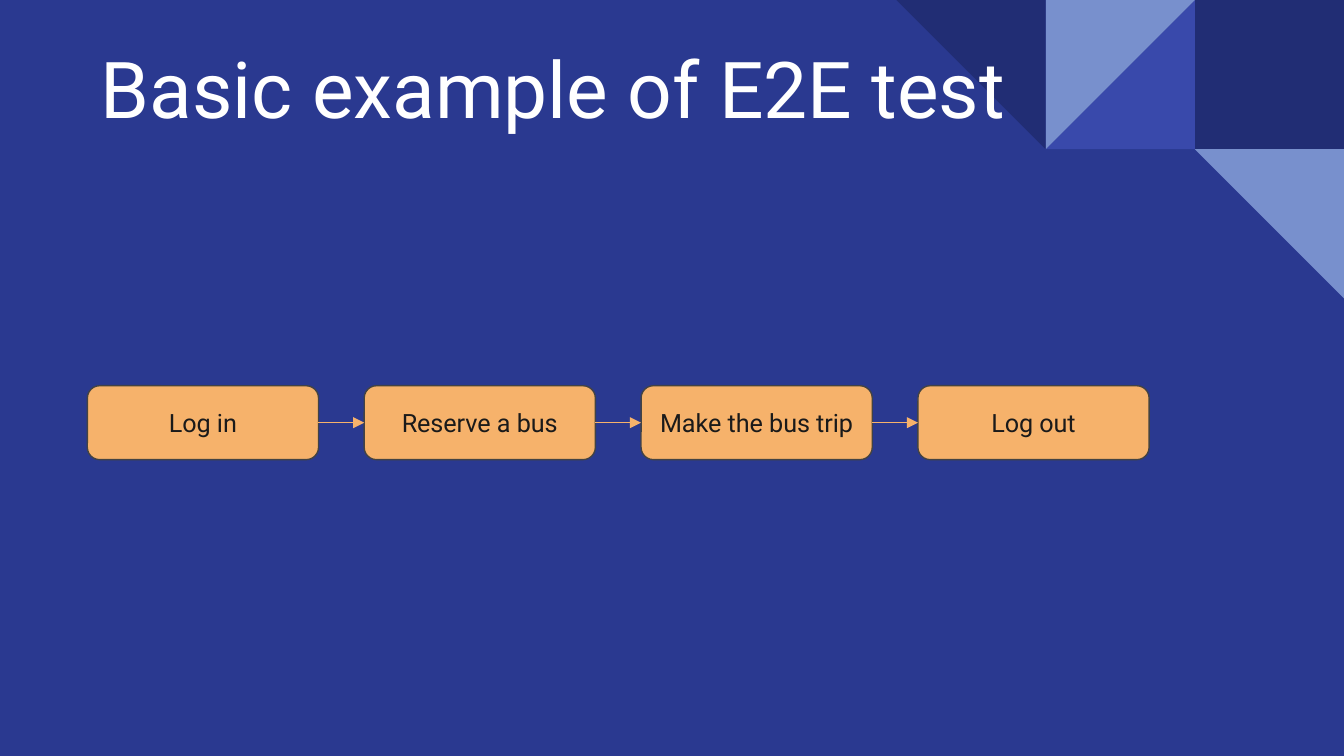
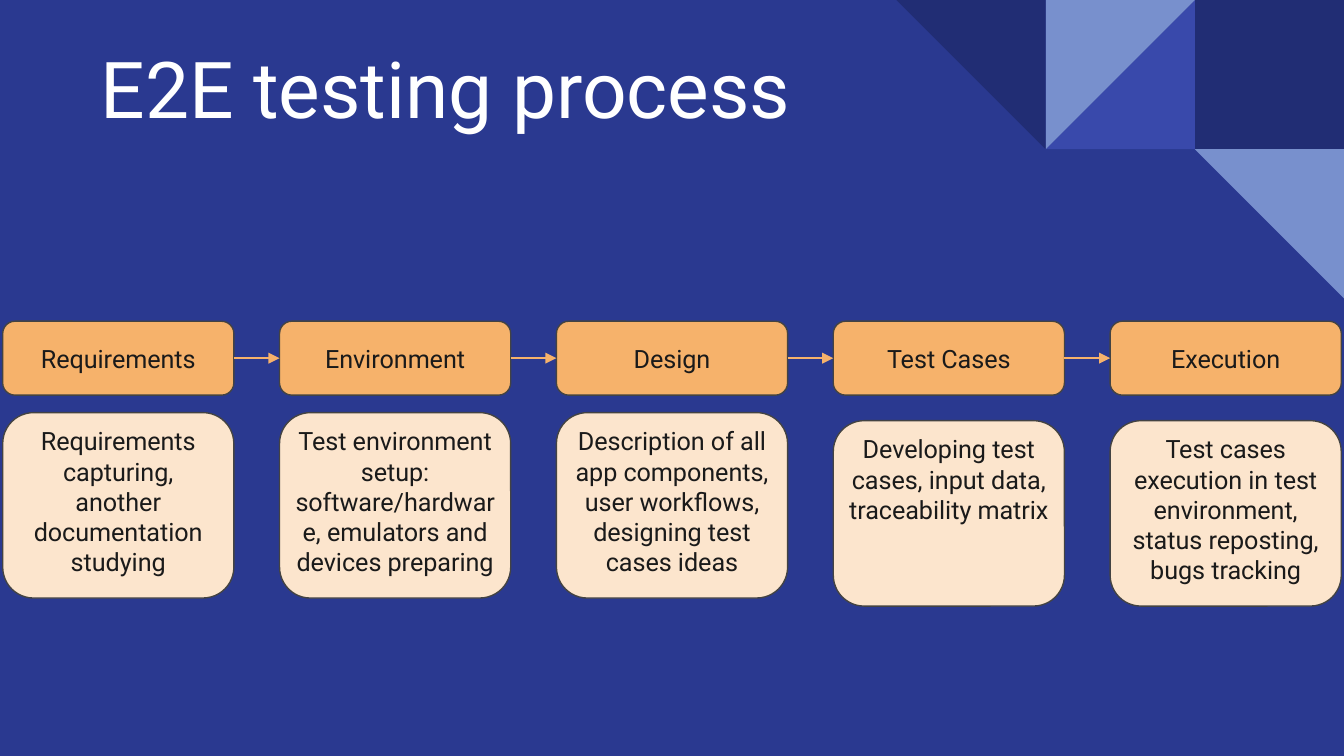
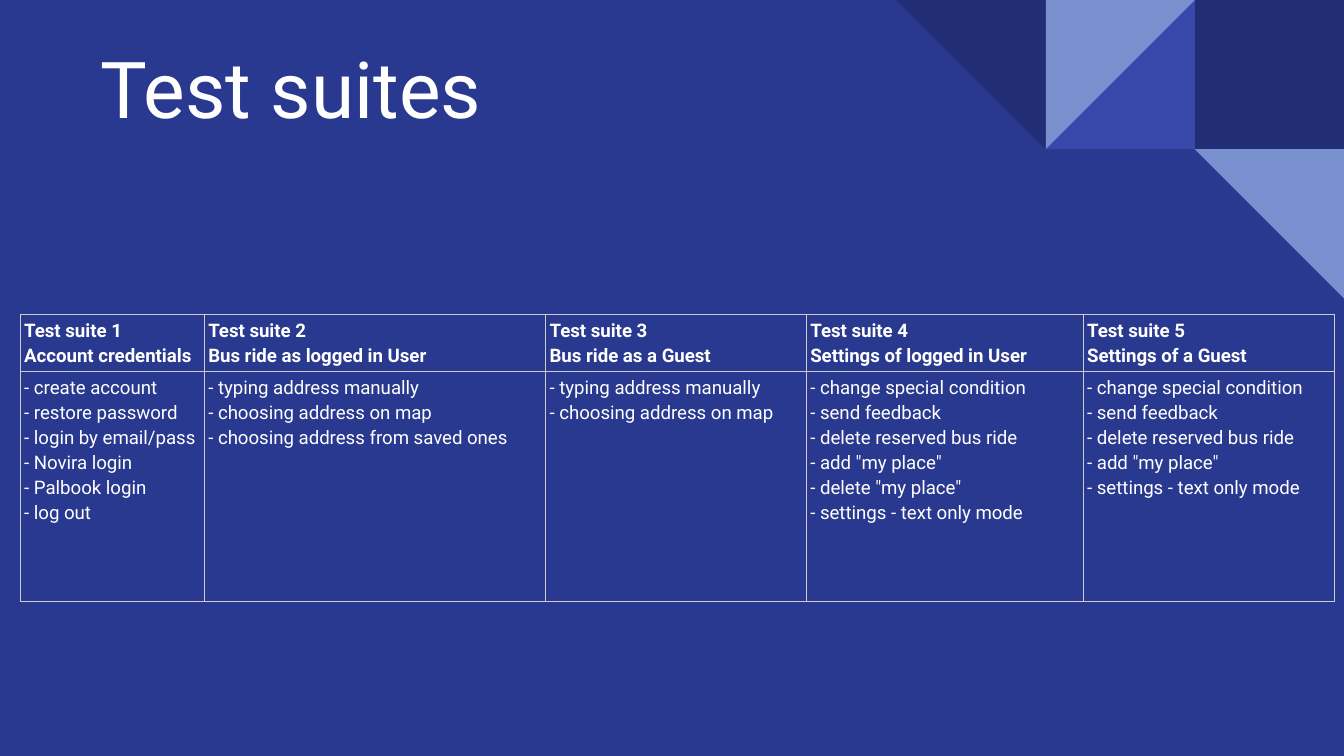
"""Build three slides on end-to-end testing: an example, the process and the suites."""
from dataclasses import dataclass

from lxml.etree import SubElement as Sub
from pptx import Presentation
from pptx.dml.color import RGBColor as RGB
from pptx.enum.shapes import MSO_CONNECTOR as Line, MSO_SHAPE as Shape
from pptx.enum.text import MSO_ANCHOR as Anchor, PP_ALIGN as Align
from pptx.oxml.ns import qn
from pptx.util import Inches, Pt


@dataclass(frozen=True)
class Theme:
    back: str = "2A3990"
    navy: str = "212D74"
    royal: str = "3949AB"
    sky: str = "7890CD"
    amber: str = "F6B26B"
    cream: str = "FCE5CD"
    edge: str = "434343"
    grid: str = "CCCCCC"
    ink: str = "1A1A1A"
    white: str = "FFFFFF"
    face: str = "Roboto"
    title: float = 42
    label: float = 13.5
    small: float = 10
    rule: float = 0.75


T = Theme()
TILE = 1.11
STEP_W, STEP_H, CARD_H, PITCH = 1.72, 0.55, 1.38, 2.06
SNUG = dict.fromkeys(
    ("margin_left", "margin_right", "margin_top", "margin_bottom"), Inches(0.03))
WIDE = dict.fromkeys(SNUG, Inches(0.1))
CELL = SNUG | {"margin_top": Inches(0.02), "margin_bottom": Inches(0.02),
               "vertical_anchor": Anchor.TOP}


def write(frame, text, size, color, para, bold=False):
    frame.text = text
    look = {"name": T.face, "size": Pt(size), "bold": bold}
    for p in frame.paragraphs:
        for key, val in para.items():
            setattr(p, key, val)
        for run in p.runs:
            for key, val in look.items():
                setattr(run.font, key, val)
            run.font.color.rgb = RGB.from_string(color)
        for gap in p._p.findall(qn("a:br")):
            Sub(gap, qn("a:rPr"), sz=str(int(size * 100)))


def block(slide, kind, box, fill, text=None, anchor=Anchor.MIDDLE):
    item = slide.shapes.add_shape(kind, *map(Inches, box))
    item.shadow.inherit = False
    item.fill.solid()
    item.fill.fore_color.rgb = RGB.from_string(fill)
    if text is None:
        item.line.fill.background()
        return item
    item.line.color.rgb = RGB.from_string(T.edge)
    item.line.width = Pt(T.rule)
    frame = item.text_frame
    for key, val in (SNUG | {"word_wrap": True, "vertical_anchor": anchor}).items():
        setattr(frame, key, val)
    write(frame, text, T.label, T.ink, {"alignment": Align.CENTER})
    return item


deck = Presentation()
deck.slide_width = Inches(10)
deck.slide_height = deck.slide_width * 9 // 16
base = deck.slide_master.background.fill
base.solid()
base.fore_color.rgb = RGB.from_string(T.back)

tiles = [
    (Shape.RECTANGLE, 8.89, 0, 0, T.navy),
    (Shape.RIGHT_TRIANGLE, 7.78, 0, 270, T.royal),
    (Shape.RIGHT_TRIANGLE, 7.78, 0, 90, T.sky),
    (Shape.RIGHT_TRIANGLE, 6.67, 0, 180, T.navy),
    (Shape.RIGHT_TRIANGLE, 8.89, TILE, 180, T.sky),
]
pages = []
for title in ("Basic example of E2E test", "E2E testing process", "Test suites"):
    slide = deck.slides.add_slide(deck.slide_layouts[6])
    for kind, x, y, turn, fill in tiles:
        block(slide, kind, (x, y, TILE, TILE), fill).rotation = turn
    head = slide.shapes.add_textbox(*map(Inches, (0.65, 0.18, 8.99, 0.92))).text_frame
    for key, val in (WIDE | {"word_wrap": True, "vertical_anchor": Anchor.BOTTOM}).items():
        setattr(head, key, val)
    write(head, title, T.title, T.white, {"alignment": Align.LEFT})
    pages.append(slide)
trip, flow, suite = pages

chains = [
    (trip, 0.65, 2.87, ["Log in", "Reserve a bus", "Make the bus trip", "Log out"]),
    (flow, 0.02, 2.39,
     ["Requirements", "Environment", "Design", "Test Cases", "Execution"]),
]
for slide, left, top, names in chains:
    steps = [
        block(slide, Shape.ROUNDED_RECTANGLE,
              (left + i * PITCH, top, STEP_W, STEP_H), T.amber, name)
        for i, name in enumerate(names)
    ]
    for a, b in zip(steps, steps[1:]):
        link = slide.shapes.add_connector(Line.STRAIGHT, 0, 0, 0, 0)
        link.begin_connect(a, 3)
        link.end_connect(b, 1)
        link.line.color.rgb = RGB.from_string(T.amber)
        link.line.width = Pt(T.rule)
        Sub(link.line._get_or_add_ln(), qn("a:tailEnd"), type="triangle")
        Sub(link._element.spPr, qn("a:effectLst"))

cards = [
    (3.07, "Requirements capturing,\nanother documentation studying"),
    (3.07, "Test environment setup: software/hardware, emulators and devices preparing"),
    (3.07, "Description of all app components, user workflows,\n"
           "designing test cases ideas"),
    (3.13, "Developing test cases, input data,\ntraceability matrix"),
    (3.13, "Test cases execution in test environment, status reposting,\nbugs tracking"),
]
for i, (top, text) in enumerate(cards):
    block(flow, Shape.ROUNDED_RECTANGLE, (0.02 + i * PITCH, top, STEP_W, CARD_H),
          T.cream, text, Anchor.TOP)

suites = [
    (1.37, "Account credentials",
     ["create account", "restore password", "login by email/pass",
      "Novira login", "Palbook login", "log out"]),
    (2.54, "Bus ride as logged in User",
     ["typing address manually", "choosing address on map",
      "choosing address from saved ones"]),
    (1.94, "Bus ride as a Guest",
     ["typing address manually", "choosing address on map"]),
    (2.06, "Settings of logged in User",
     ["change special condition", "send feedback", "delete reserved bus ride",
      'add "my place"', 'delete "my place"', "settings - text only mode"]),
    (1.87, "Settings of a Guest",
     ["change special condition", "send feedback", "delete reserved bus ride",
      'add "my place"', "settings - text only mode"]),
]
rows = [0.41, 1.71]
span = sum(wide for wide, _, _ in suites)
table = suite.shapes.add_table(
    2, len(suites), *map(Inches, (0.15, 2.34, span, sum(rows)))).table
table.first_row = table.horz_banding = False
for row, tall in zip(table.rows, rows):
    row.height = Inches(tall)
for i, (wide, name, cases) in enumerate(suites):
    table.columns[i].width = Inches(wide)
    texts = [f"Test suite {i + 1}\v{name}", "\n".join(f"- {case}" for case in cases)]
    for j, text in enumerate(texts):
        cell = table.cell(j, i)
        for key, val in CELL.items():
            setattr(cell, key, val)
        write(cell.text_frame, text, T.small, T.white, {"line_spacing": 1.15}, j == 0)
        prop = cell._tc.get_or_add_tcPr()
        for side in ("lnL", "lnR", "lnT", "lnB"):
            edge = Sub(prop, qn(f"a:{side}"), w=str(Pt(T.rule)))
            Sub(Sub(edge, qn("a:solidFill")), qn("a:srgbClr"), val=T.grid)
        cell.fill.background()

deck.save("out.pptx")
